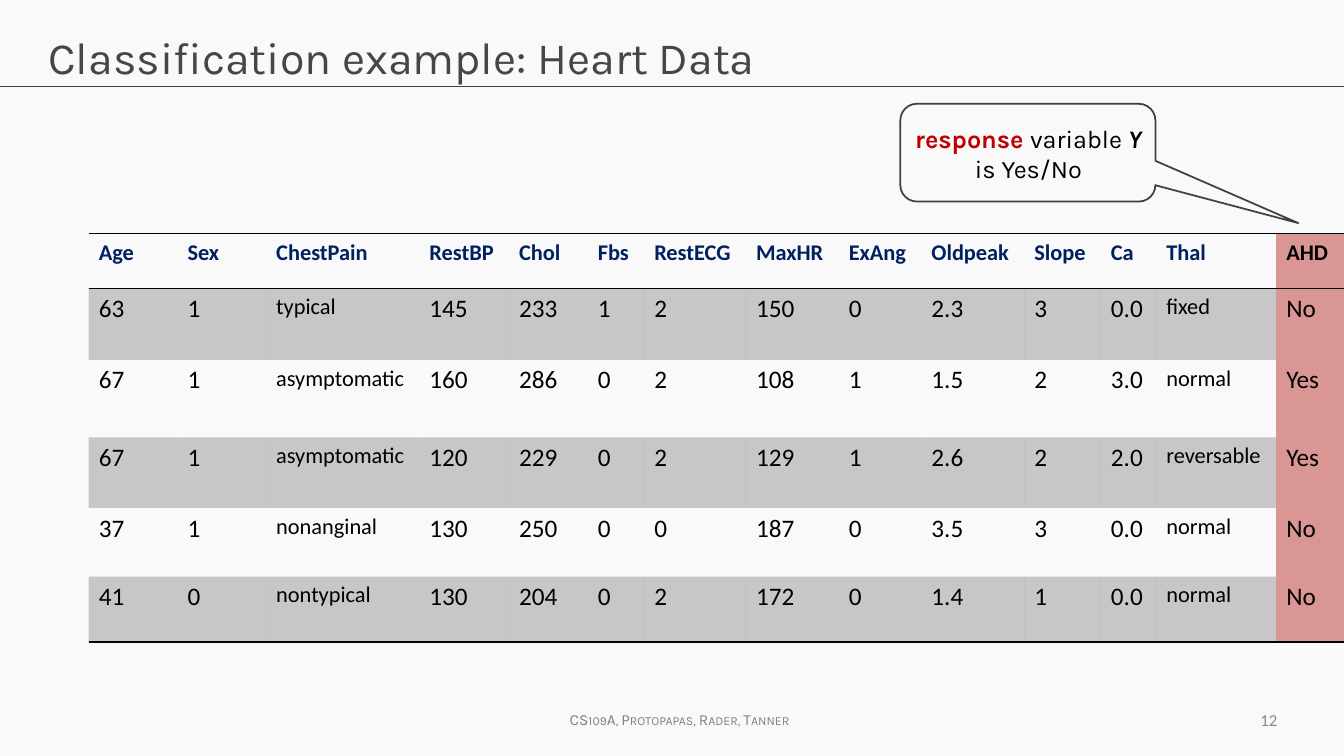
from lxml import etree
from pptx import Presentation
from pptx.dml.color import RGBColor
from pptx.enum.shapes import MSO_CONNECTOR, MSO_SHAPE
from pptx.enum.text import MSO_ANCHOR, PP_ALIGN
from pptx.oxml.ns import qn
from pptx.util import Inches, Pt

HEADERS = ["Age", "Sex", "ChestPain", "RestBP", "Chol", "Fbs", "RestECG",
           "MaxHR", "ExAng", "Oldpeak", "Slope", "Ca", "Thal", "AHD"]
PATIENTS = [
    ["63", "1", "typical", "145", "233", "1", "2", "150", "0", "2.3", "3", "0.0", "fixed", "No"],
    ["67", "1", "asymptomatic", "160", "286", "0", "2", "108", "1", "1.5", "2", "3.0", "normal", "Yes"],
    ["67", "1", "asymptomatic", "120", "229", "0", "2", "129", "1", "2.6", "2", "2.0", "reversable", "Yes"],
    ["37", "1", "nonanginal", "130", "250", "0", "0", "187", "0", "3.5", "3", "0.0", "normal", "No"],
    ["41", "0", "nontypical", "130", "204", "0", "2", "172", "0", "1.4", "1", "0.0", "normal", "No"],
]
COL_WIDTHS = [0.88, 0.88, 1.52, 0.89, 0.78, 0.56, 1.01, 0.92, 0.82, 1.02, 0.76, 0.55, 1.19, 0.67]
ROW_HEIGHTS = [0.54, 0.71, 0.77, 0.7, 0.68, 0.65]
NO_STYLE = "{2D5ABB26-0587-4C30-8999-92F81FD0307C}"


def rgb(hex_color):
    return RGBColor.from_string(hex_color)


def box(left, top, width, height):
    return Inches(left), Inches(top), Inches(width), Inches(height)


class Deck:
    heading_font, table_font = "Karla", "Calibri"
    black, gray, navy, red, pink = "000000", "404040", "002060", "C00000", "D99694"

    def __init__(self):
        self.prs = Presentation()
        self.prs.slide_width, self.prs.slide_height = Inches(13.33), Inches(7.5)

    def add_slide(self, background):
        self.s = self.prs.slides.add_slide(self.prs.slide_layouts[5])
        self.s.background.fill.solid()
        self.s.background.fill.fore_color.rgb = rgb(background)

    def style(self, r, font, size, color, bold=False, italic=False):
        r.font.name, r.font.size = font, Pt(size)
        r.font.bold, r.font.italic = bold, italic
        r.font.color.rgb = rgb(color)

    def title(self, text, at):
        sp = self.s.shapes.title
        sp.left, sp.top, sp.width, sp.height = box(*at)
        tf = sp.text_frame
        tf.text, tf.vertical_anchor = text, MSO_ANCHOR.TOP
        p = tf.paragraphs[0]
        p.alignment = PP_ALIGN.LEFT
        self.style(p.runs[0], self.heading_font, 32, "464646")

    def text(self, lines, at, align=PP_ALIGN.CENTER, margin=None):
        """Each line is a list of (text, style arguments) runs."""
        tf = self.s.shapes.add_textbox(*box(*at)).text_frame
        tf.word_wrap = False
        if margin is not None:
            tf.margin_left = tf.margin_right = Inches(margin)
            tf.margin_top = tf.margin_bottom = Inches(margin)
        for i, line in enumerate(lines):
            p = tf.add_paragraph() if i else tf.paragraphs[0]
            p.alignment = align
            for words, look in line:
                r = p.add_run()
                r.text = words
                self.style(r, *look)
        return tf

    def rule(self, y):
        line = self.s.shapes.add_connector(
            MSO_CONNECTOR.STRAIGHT, 0, Inches(y), self.prs.slide_width, Inches(y))
        line.line.color.rgb, line.line.width = rgb(self.gray), Pt(0.75)
        etree.SubElement(line._element.spPr, qn("a:effectLst"))

    def callout(self, at, adjustments):
        sp = self.s.shapes.add_shape(MSO_SHAPE.ROUNDED_RECTANGULAR_CALLOUT, *box(*at))
        for i, value in enumerate(adjustments):
            sp.adjustments[i] = value
        sp.shadow.inherit = False
        sp.fill.background()
        sp.line.color.rgb, sp.line.width = rgb(self.gray), Pt(1.25)

    def border(self, cell, side):
        ln = etree.SubElement(cell._tc.get_or_add_tcPr(), qn(f"a:{side}"), w=str(Pt(1)))
        fill = etree.SubElement(ln, qn("a:solidFill"))
        etree.SubElement(fill, qn("a:srgbClr"), val=self.black)

    def fill(self, cell, color, alpha=None):
        cell.fill.solid()
        cell.fill.fore_color.rgb = rgb(color)
        if alpha:
            clr = cell._tc.tcPr.find(qn("a:solidFill")).find(qn("a:srgbClr"))
            etree.SubElement(clr, qn("a:alpha"), val=str(alpha * 1000))

    def table(self, rows, widths, heights, left, top):
        frame = self.s.shapes.add_table(
            len(rows), len(widths), *box(left, top, sum(widths), sum(heights)))
        table = frame.table
        table._tbl.tblPr.find(qn("a:tableStyleId")).text = NO_STYLE
        table.horz_banding = False
        for column, width in zip(table.columns, widths):
            column.width = Inches(width)
        for row, height in zip(table.rows, heights):
            row.height = Inches(height)
        for i, values in enumerate(rows):
            for j, value in enumerate(values):
                self.cell(table.cell(i, j), value, header=i == 0, shaded=i % 2 == 1,
                          last_row=i == len(rows) - 1, response=j == len(values) - 1)

    def cell(self, cell, value, header, shaded, last_row, response):
        cell.text = value
        is_word = value.isalpha() and not response
        self.style(cell.text_frame.paragraphs[0].runs[0], self.table_font,
                   16 if header or is_word else 18,
                   self.navy if header and not response else self.black, header)
        # Borders come before the fill in the cell properties
        if header:
            self.border(cell, "lnT")
        if header or last_row:
            self.border(cell, "lnB")
        if response:
            self.fill(cell, self.pink)
        elif shaded:
            self.fill(cell, self.black, alpha=20)
        else:
            cell.fill.background()


def main():
    deck = Deck()
    deck.add_slide("F9F9F9")

    # Heading and footer
    deck.rule(0.86)
    footer = deck.text([[("CS109A, Protopapas, Rader, Tanner", (deck.heading_font, 11, "808080"))]],
                       (5.49, 7, 2.5, 0.29))
    footer.paragraphs[0].runs[0].font._element.set("cap", "small")
    deck.text([[("12", (deck.table_font, 12, "888888"))]],
              (12.44, 6.99, 0.28, 0.27), PP_ALIGN.RIGHT, margin=0.05)
    deck.title("Classification example: Heart Data", (0.38, 0.24, 12.57, 0.84))

    # Heart data
    deck.table([HEADERS] + PATIENTS, COL_WIDTHS, ROW_HEIGHTS, 0.88, 2.32)

    # Callout pointing at the response column
    deck.callout((8.93, 1.03, 2.53, 0.97), (1.06, 0.72, 0.17))
    plain = (deck.heading_font, 18, deck.black)
    deck.text([[("response ", (deck.heading_font, 18, deck.red, True)),
                ("variable ", plain), ("Y", plain + (True, True))],
               [("is Yes/No", plain)]], (8.96, 1.17, 2.48, 0.7))

    deck.prs.save("out.pptx")


if __name__ == "__main__":
    main()
